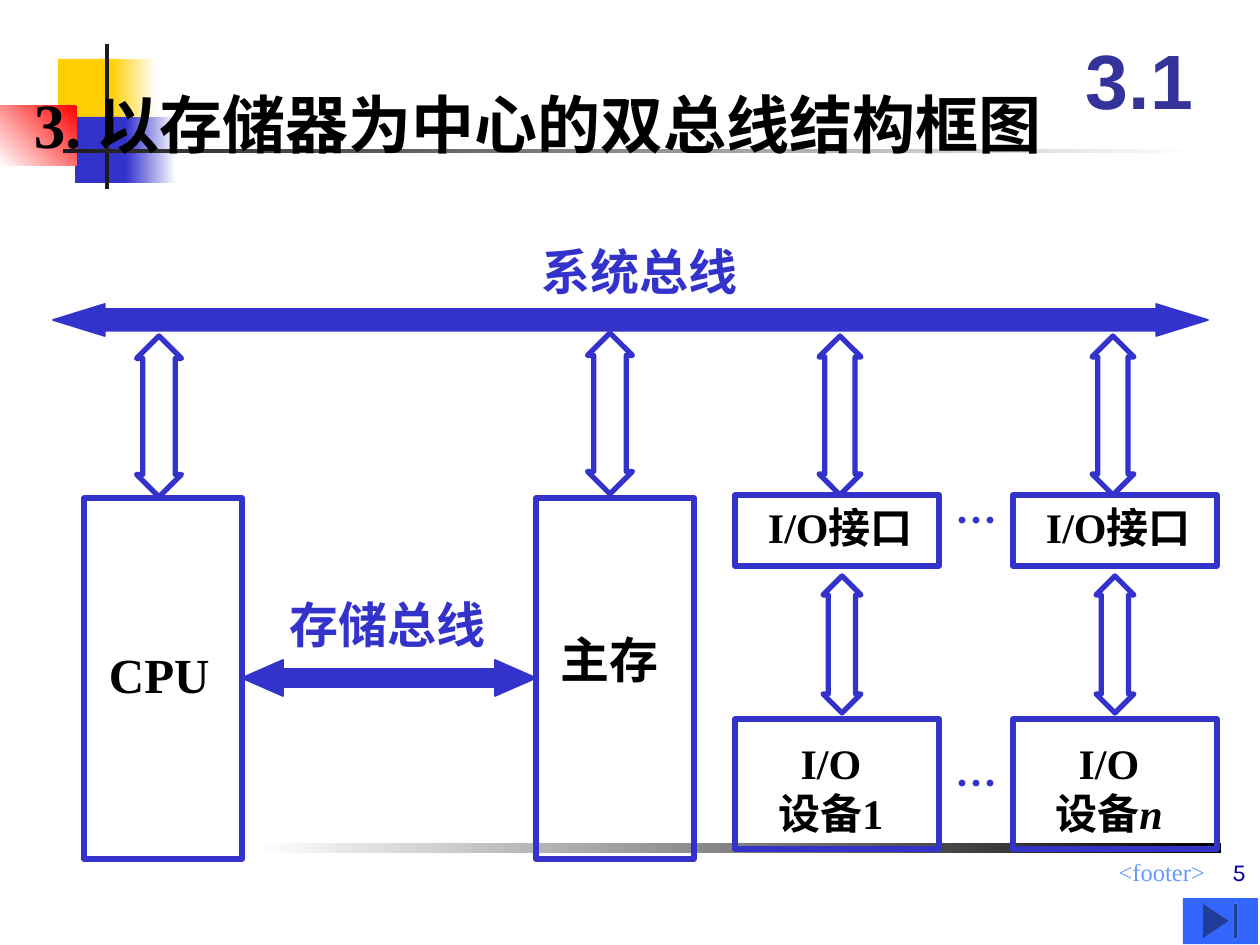
from dataclasses import dataclass

from pptx import Presentation
from pptx.dml.color import RGBColor
from pptx.enum.shapes import MSO_SHAPE
from pptx.enum.text import MSO_ANCHOR, PP_ALIGN
from pptx.oxml.ns import qn
from pptx.util import Pt

EMU_PER_PX = 914400 / 126


@dataclass(frozen=True)
class Theme:
    blue: str = "3333CC"
    navy: str = "333399"
    black: str = "000000"
    white: str = "FFFFFF"
    yellow: str = "FFCF01"
    red: str = "FF0000"
    dark: str = "1C1C1C"
    footer: str = "6699FF"
    number: str = "000099"
    button: str = "3366FF"
    serif: str = "Times New Roman"
    sans: str = "Arial"
    chinese: str = "Noto Sans CJK SC"
    number_font: str = "Karla"
    title: int = 36
    section: int = 44
    label: int = 28
    small: int = 24
    note: int = 14
    outline: float = 3


THEME = Theme()

# Places are left, top, width, height in px.
TITLE = ("3. 以存储器为中心的双总线结构框图", (21, 79, 1092, 88))

# Place, colours from left to right, gradient angle.
DECORATION = [
    ((58, 59, 60, 66), [THEME.yellow], 0),
    ((111, 59, 45, 66), [THEME.yellow, THEME.white], 0),
    ((75, 117, 58, 66), [THEME.blue], 0),
    ((126, 117, 50, 66), [THEME.blue, THEME.white], 0),
    ((0, 106, 77, 60), [THEME.red, THEME.white], 225),
    ((105, 44, 4, 145), [THEME.dark], 0),
    ((63, 149, 1134, 4), [THEME.dark, THEME.white], 0),
    ((255, 843, 966, 10), [THEME.white, THEME.black], 0),
]

# Left of box, centre of its bus arrow, top of arrow, text and text insets.
UNITS = [
    (84, 159, 336, "CPU", (25, 146)),
    (536, 610, 333, "主存", (25, 131)),
]
UNIT_TOP, UNIT_WIDTH, UNIT_HEIGHT = 498, 158, 361

# Left of column, centres of upper and lower arrow, device number, italic.
IO_COLUMNS = [(735, 840, 842, "1", False), (1013, 1113, 1115, "n", True)]
IO_WIDTH = 204
INTERFACE_TOP, INTERFACE_HEIGHT = 495, 71
DEVICE_TOP, DEVICE_HEIGHT = 719, 130

SOLID_ARROWS = [((53, 304, 1155, 32), 0.68, 1.62), ((242, 660, 294, 36), 0.5, 1.14)]

LABELS = [
    ("系统总线", (542, 242, 319, 59), dict(size=THEME.label, name=THEME.chinese)),
    ("存储总线", (290, 595, 196, 59), dict(size=THEME.label, name=THEME.chinese)),
    ("…", (955, 495, 42, 50), dict(size=THEME.small, name=THEME.chinese)),
    ("…", (955, 758, 42, 50), dict(size=THEME.small, name=THEME.chinese)),
]


def px(value):
    return round(value * EMU_PER_PX)


def put_text(shape, paragraphs, insets=(0, 0, 0, 0), align=PP_ALIGN.LEFT,
             anchor=MSO_ANCHOR.TOP, **style):
    """Write paragraphs, each a list of (text, italic) spans."""
    frame = shape.text_frame
    left, top, right, bottom = map(px, insets)
    settings = dict(word_wrap=True, vertical_anchor=anchor, margin_left=left,
                    margin_top=top, margin_right=right, margin_bottom=bottom)
    for key, value in settings.items():
        setattr(frame, key, value)
    style = dict(name=THEME.serif, color=THEME.black, bold=True) | style
    color = RGBColor.from_string(style.pop("color"))
    style["size"] = Pt(style["size"])
    for index, spans in enumerate(paragraphs):
        para = frame.paragraphs[0] if index == 0 else frame.add_paragraph()
        para.alignment = align
        for text, italic in spans:
            span = para.add_run()
            span.text = text
            for key, value in (style | dict(italic=italic)).items():
                setattr(span.font, key, value)
            span.font.color.rgb = color
            east_asian = span.font._element.makeelement(
                qn("a:ea"), {"typeface": THEME.chinese})
            span.font._element.find(qn("a:latin")).addnext(east_asian)


def add_label(page, text, place, **style):
    box = page.shapes.add_textbox(*map(px, place))
    put_text(box, [[(text, False)]], **style)


def add_figure(page, kind, place, colors=(), line=None, angle=0):
    shape = page.shapes.add_shape(kind, *map(px, place))
    shape.shadow.inherit = False
    if len(colors) == 2:
        shape.fill.gradient()
        shape.fill.gradient_angle = angle
        for stop, color, position in zip(shape.fill.gradient_stops, colors, (0, 1)):
            stop.color.rgb = RGBColor.from_string(color)
            stop.position = position
    elif colors:
        shape.fill.solid()
        shape.fill.fore_color.rgb = RGBColor.from_string(colors[0])
    else:
        shape.fill.background()
    if line:
        shape.line.color.rgb = RGBColor.from_string(THEME.blue)
        shape.line.width = Pt(line)
    else:
        shape.line.fill.background()
    return shape


def add_box(page, place, paragraphs, **style):
    box = add_figure(page, MSO_SHAPE.RECTANGLE, place, line=THEME.outline)
    put_text(box, paragraphs, **style)


def add_hollow_arrow(page, center, top, bottom, width):
    place = (center - width / 2, top, width, bottom - top)
    arrow = add_figure(page, MSO_SHAPE.UP_DOWN_ARROW, place, line=THEME.outline)
    arrow.adjustments[0], arrow.adjustments[1] = 0.5, 0.72


def build():
    deck = Presentation()
    deck.slide_width, deck.slide_height = px(1260), px(945)
    page = deck.slides.add_slide(deck.slide_layouts[5])

    for place, colors, angle in DECORATION:
        add_figure(page, MSO_SHAPE.RECTANGLE, place, colors, angle=angle)

    title = page.shapes.title
    page.shapes._spTree.append(title._element)
    text, place = TITLE
    for key, value in zip(("left", "top", "width", "height"), place):
        setattr(title, key, px(value))
    put_text(title, [[(text, False)]], (13, 6, 13, 6), size=THEME.title)

    for place, shaft, head in SOLID_ARROWS:
        arrow = add_figure(page, MSO_SHAPE.LEFT_RIGHT_ARROW, place, [THEME.blue], 1)
        arrow.adjustments[0], arrow.adjustments[1] = shaft, head

    for left, center, top, name, (inset_left, inset_top) in UNITS:
        add_box(page, (left, UNIT_TOP, UNIT_WIDTH, UNIT_HEIGHT), [[(name, False)]],
                insets=(inset_left, inset_top, 0, 0), size=THEME.label)
        add_hollow_arrow(page, center, top, top + 161, 45)

    for left, upper, lower, number, italic in IO_COLUMNS:
        add_box(page, (left, INTERFACE_TOP, IO_WIDTH, INTERFACE_HEIGHT),
                [[("I/O接口", False)]], insets=(33, 6, 0, 0), size=THEME.small)
        add_box(page, (left, DEVICE_TOP, IO_WIDTH, DEVICE_HEIGHT),
                [[("I/O", False)], [("设备", False), (number, italic)]],
                insets=(0, 18, 12, 0), align=PP_ALIGN.CENTER, size=THEME.small)
        add_hollow_arrow(page, upper, 336, INTERFACE_TOP, 42)
        add_hollow_arrow(page, lower, 576, 713, 38)

    for text, place, style in LABELS:
        add_label(page, text, place, color=THEME.blue, **style)
    add_label(page, "3.1", (1061, 21, 157, 116), size=THEME.section, name=THEME.sans,
              color=THEME.navy, align=PP_ALIGN.CENTER, anchor=MSO_ANCHOR.MIDDLE)
    add_label(page, "<footer>", (494, 851, 724, 33), size=THEME.note, bold=False,
              color=THEME.footer, align=PP_ALIGN.RIGHT, insets=(13, 6, 13, 6))
    add_label(page, "5", (656, 829, 603, 63), size=THEME.note, bold=False,
              name=THEME.number_font, color=THEME.number, align=PP_ALIGN.RIGHT,
              anchor=MSO_ANCHOR.BOTTOM, insets=(13, 6, 13, 6))
    add_figure(page, MSO_SHAPE.ACTION_BUTTON_END, (1183, 898, 75, 46), [THEME.button])
    deck.save("out.pptx")


if __name__ == "__main__":
    build()
